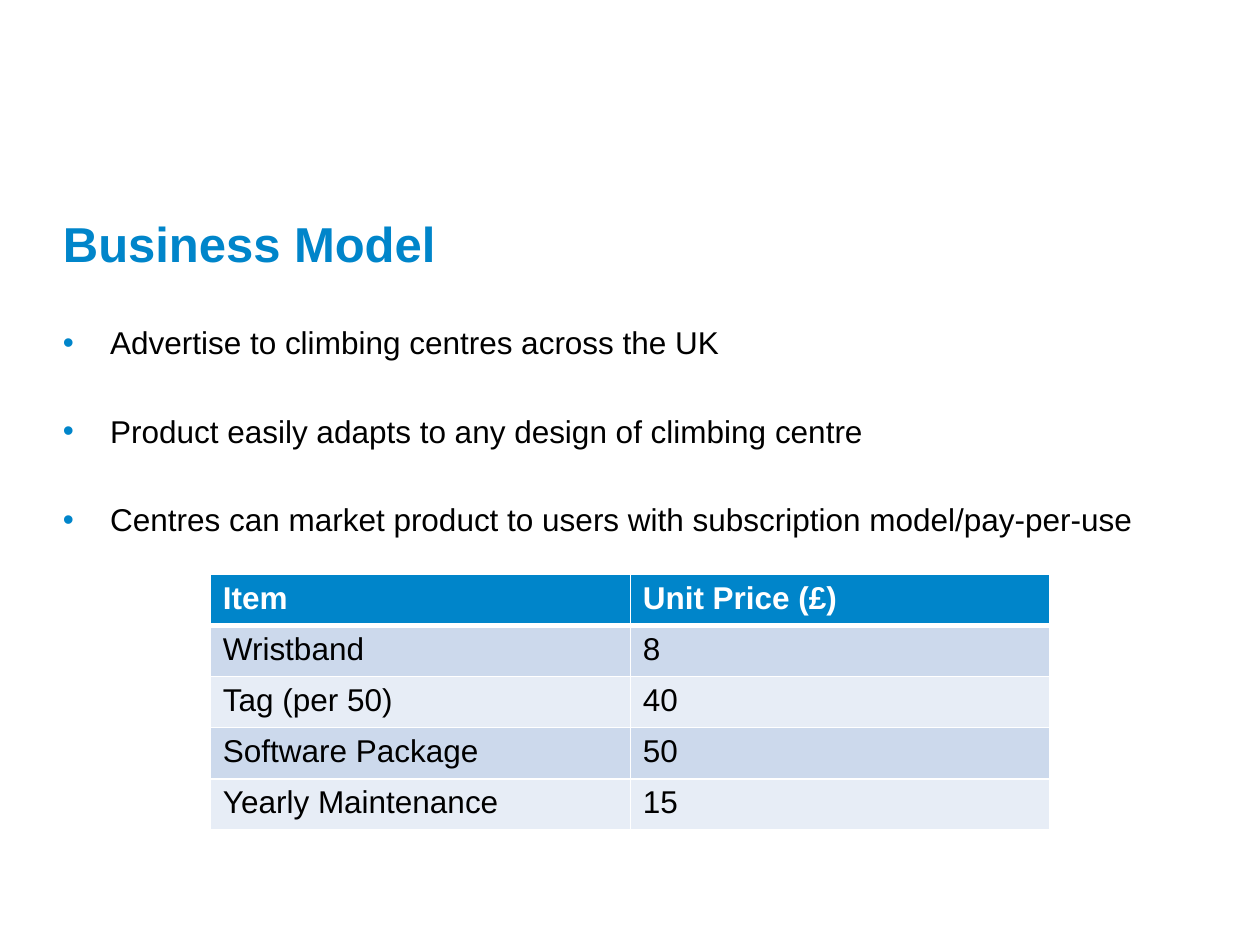
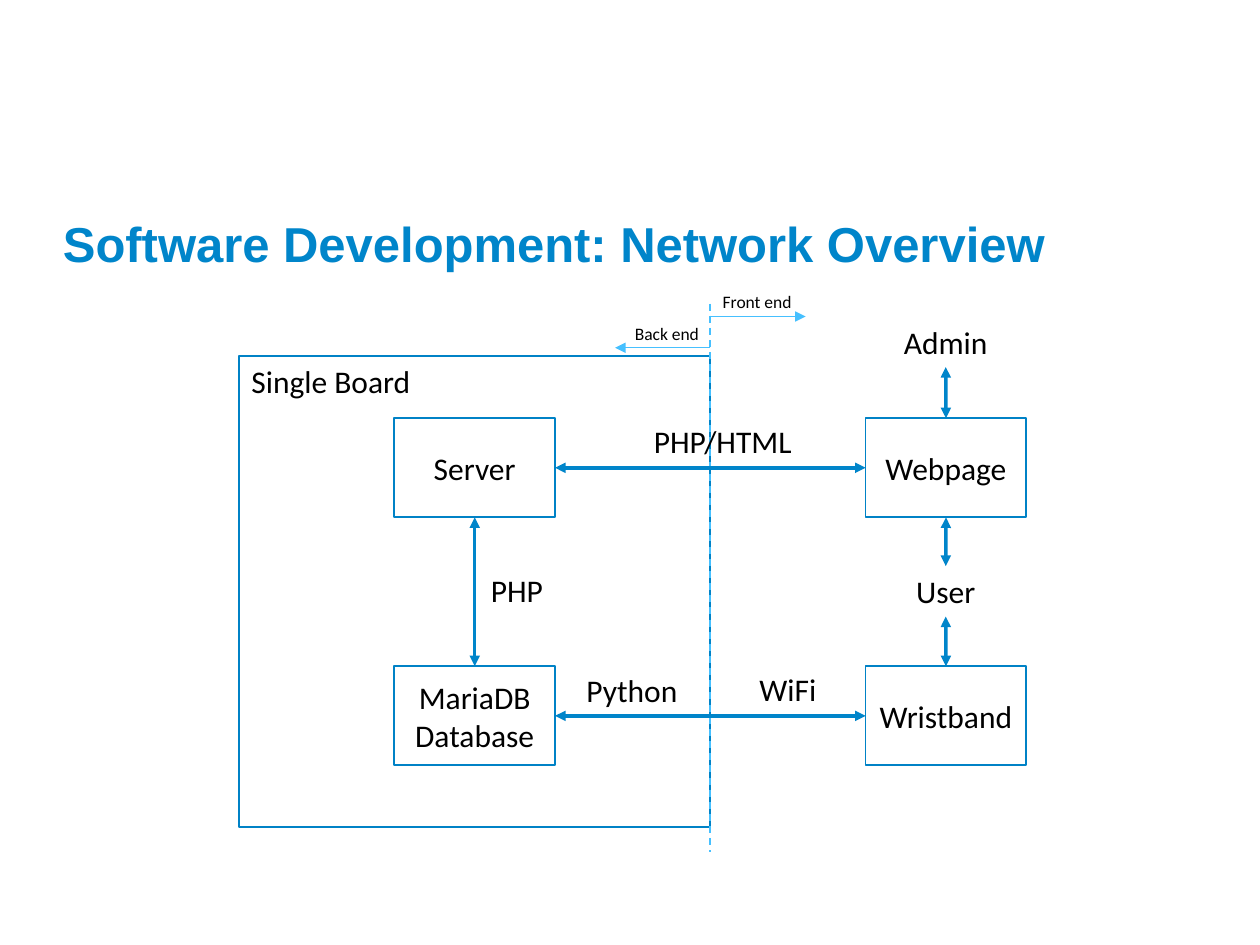
from dataclasses import dataclass

from lxml import etree
from pptx import Presentation
from pptx.dml.color import RGBColor
from pptx.enum.dml import MSO_LINE
from pptx.enum.shapes import MSO_CONNECTOR, MSO_SHAPE
from pptx.enum.text import MSO_ANCHOR, PP_ALIGN
from pptx.oxml import parse_xml
from pptx.oxml.ns import nsdecls, qn
from pptx.util import Cm, Pt

LEFT, MID, RIGHT = PP_ALIGN.LEFT, PP_ALIGN.CENTER, PP_ALIGN.RIGHT
TOP, CENTRE = MSO_ANCHOR.TOP, MSO_ANCHOR.MIDDLE
RECT, STRAIGHT, DASH = MSO_SHAPE.RECTANGLE, MSO_CONNECTOR.STRAIGHT, MSO_LINE.DASH


@dataclass(frozen=True)
class Theme:
    blue: str = "0085CA"
    edge: str = "0082C6"
    sky: str = "46C0FF"
    white: str = "FFFFFF"
    black: str = "000000"
    bands: tuple = ("E7EDF6", "CCD9EC")
    sans: str = "Arial"
    draw: str = "Calibri"
    head: int = 28
    text: int = 18
    small: int = 10


theme = Theme()


def write(frame, text, size=theme.text, face=theme.sans, color=theme.black,
          bold=False, align=LEFT, anchor=TOP, wrap=True, pad=None,
          bullet=False, gap=0):
    frame.word_wrap, frame.vertical_anchor = wrap, anchor
    if pad is not None:
        (frame.margin_left, frame.margin_top,
         frame.margin_right, frame.margin_bottom) = [Cm(side) for side in pad]
    for i, part in enumerate(text.split("\n")):
        para = frame.add_paragraph() if i else frame.paragraphs[0]
        if bullet:
            props = para._p.get_or_add_pPr()
            props.set("marL", str(Cm(0.95)))
            props.set("indent", str(Cm(-0.95)))
            props.append(parse_xml(
                f'<a:buClr {nsdecls("a")}><a:srgbClr val="{theme.blue}"/></a:buClr>'))
            props.append(parse_xml(f'<a:buFont {nsdecls("a")} typeface="{face}"/>'))
            props.append(parse_xml(f'<a:buChar {nsdecls("a")} char="•"/>'))
        para.alignment = align
        if i and gap:
            para.space_before = Pt(gap)
        run = para.add_run()
        run.text = part
        run.font.size, run.font.name, run.font.bold = Pt(size), face, bold
        run.font.color.rgb = RGBColor.from_string(color)


def link(shapes, start, end, color=theme.blue, width=2, tips=("headEnd", "tailEnd")):
    line = shapes.add_connector(STRAIGHT, 0, 0, 0, 0)
    if isinstance(start[0], str):
        line.begin_connect(nodes[start[0]], start[1])
        line.end_connect(nodes[end[0]], end[1])
    else:
        line.begin_x, line.begin_y = Cm(start[0]), Cm(start[1])
        line.end_x, line.end_y = Cm(end[0]), Cm(end[1])
    line.line.width = Pt(width)
    line.line.color.rgb = RGBColor.from_string(color)
    for tip in tips:
        etree.SubElement(line.line._get_or_add_ln(), qn(f"a:{tip}"), type="triangle")
    etree.SubElement(line._element.spPr, qn("a:effectLst"))
    return line


deck = Presentation()
deck.slide_width, deck.slide_height = Cm(25.4), Cm(19.05)

pages = []
for title in ("Business Model", "Software Development: Network Overview"):
    page = deck.slides.add_slide(deck.slide_layouts[6]).shapes
    box = page.add_textbox(Cm(1.27), Cm(4.13), Cm(22.86), Cm(1.42))
    write(box.text_frame, title, size=theme.head, color=theme.blue, bold=True,
          anchor=CENTRE, pad=(0, 0.13, 0, 0))
    pages.append(page)
model, network = pages

body = model.add_textbox(Cm(1.27), Cm(6.52), Cm(22.86), Cm(10.13))
write(body.text_frame,
      "Advertise to climbing centres across the UK\n"
      "Product easily adapts to any design of climbing centre\n"
      "Centres can market product to users with subscription model/pay-per-use",
      pad=(0, 0, 0, 0), bullet=True, gap=29)

prices = [
    ("Item", "Unit Price (£)"),
    ("Wristband", "8"),
    ("Tag (per 50)", "40"),
    ("Software Package", "50"),
    ("Yearly Maintenance", "15"),
]
table = model.add_table(len(prices), 2, Cm(4.24), Cm(11.58), Cm(16.93), Cm(5.15)).table
for r, row in enumerate(prices):
    for c, text in enumerate(row):
        cell = table.cell(r, c)
        first = r == 0
        write(cell.text_frame, text, bold=first,
              color=theme.white if first else theme.black)
        for side in "LRTB":
            thick = (r, side) in ((0, "B"), (1, "T"))
            cell._tc.get_or_add_tcPr().append(parse_xml(
                f'<a:ln{side} {nsdecls("a")} w="{Pt(3 if thick else 1)}"><a:solidFill>'
                f'<a:srgbClr val="{theme.white}"/></a:solidFill></a:ln{side}>'))
        cell.fill.solid()
        cell.fill.fore_color.rgb = RGBColor.from_string(
            theme.blue if first else theme.bands[r % 2])

wide, high = 3.24, 2
west, east = 7.95, 17.45
north, south = 8.43, 13.43
split = 14.32

nodes = {}
for name, x, y, w, h in (
    ("", 4.82, 7.18, 9.5, 9.5),
    ("Server", west, north, wide, high),
    ("MariaDB Database", west, south, wide, high),
    ("Webpage", east, north, wide, high),
    ("Wristband", east, south, wide, high),
):
    box = network.add_shape(RECT, Cm(x), Cm(y), Cm(w), Cm(h))
    box.shadow.inherit = False
    box.fill.solid()
    box.fill.fore_color.rgb = RGBColor.from_string(theme.white)
    box.line.color.rgb = RGBColor.from_string(theme.edge)
    box.line.width = Pt(1)
    if name:
        write(box.text_frame, name, face=theme.draw, align=MID, anchor=CENTRE)
    nodes[name] = box

fence = link(network, (split, 6.12), (split, 17.17), theme.sky, 1, ())
fence.line.dash_style = DASH
for step, y in ((-1.92, 7.01), (1.92, 6.38)):
    link(network, (split, y), (split + step, y), theme.sky, 0.75, ("tailEnd",))

for name, x, y, w, h, size, align in (
    ("Single Board", 4.82, 7.18, 3.78, 1.02, theme.text, LEFT),
    ("Admin", 17.91, 6.38, 2.31, 1.02, theme.text, MID),
    ("User", 18.21, 11.41, 1.71, 1.02, theme.text, MID),
    ("WiFi", 15.01, 13.39, 1.75, 1.02, theme.text, MID),
    ("Python", 11.56, 13.41, 2.36, 1.02, theme.text, MID),
    ("PHP", 9.42, 11.38, 2, 1.02, theme.text, MID),
    ("PHP/HTML", 12.73, 8.39, 3.68, 1.02, theme.text, MID),
    ("Back end", 12.51, 6.38, 1.83, 0.69, theme.small, RIGHT),
    ("Front end", split, 5.75, 1.91, 0.69, theme.small, LEFT),
):
    box = network.add_textbox(Cm(x), Cm(y), Cm(w), Cm(h))
    write(box.text_frame, name, size=size, face=theme.draw, align=align, wrap=False)
    nodes[name] = box

for start, end in (
    (("Server", 2), ("MariaDB Database", 0)),
    (("Webpage", 1), ("Server", 3)),
    (("Wristband", 1), ("MariaDB Database", 3)),
    (("Webpage", 0), ("Admin", 2)),
    (("User", 0), ("Webpage", 2)),
    (("Wristband", 0), ("User", 2)),
):
    link(network, start, end)

deck.save("out.pptx")
